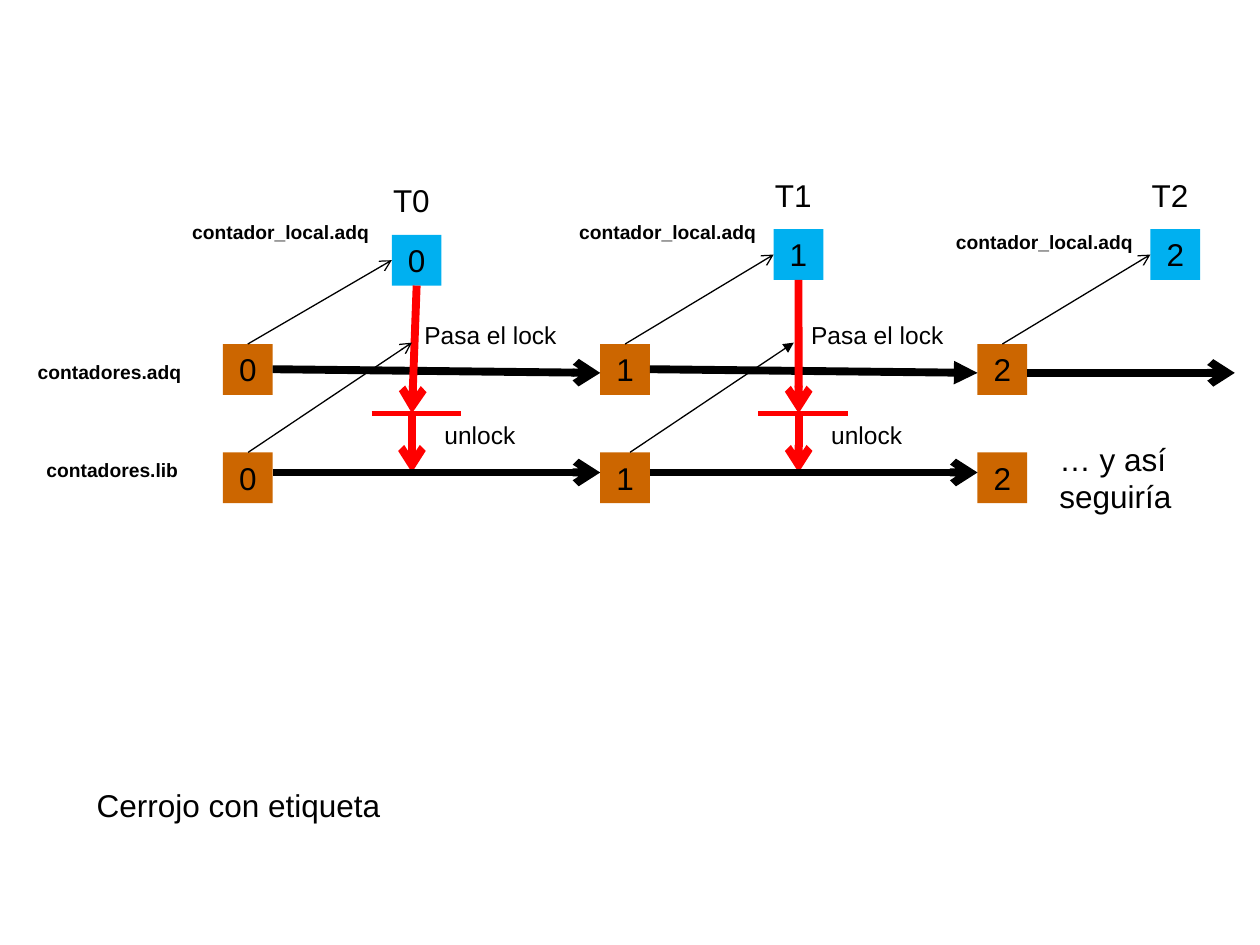
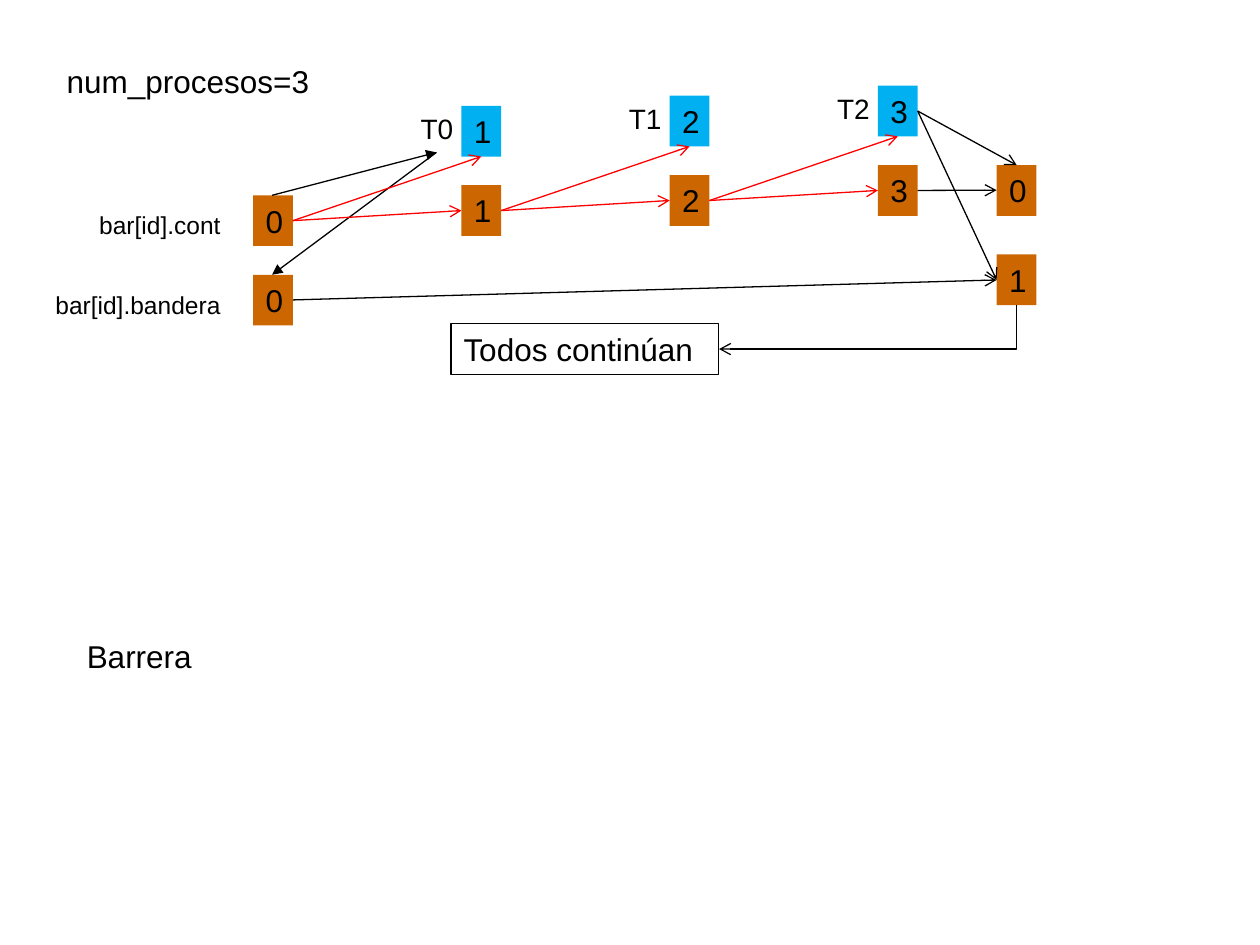
import lxml.etree
import pptx
import pptx.dml.color
import pptx.enum.shapes
import pptx.enum.text
import pptx.oxml.ns
import pptx.util

Pt = pptx.util.Pt
qn = pptx.oxml.ns.qn
CENTER = pptx.enum.text.PP_ALIGN.CENTER
RIGHT = pptx.enum.text.PP_ALIGN.RIGHT
LEFT = pptx.enum.text.PP_ALIGN.LEFT

COLORS = {"ink": "000000", "shared": "CC6600", "local": "00B0F0", "lock": "FF0000"}
FRAME_FORMAT = {
    "word_wrap": True,
    "auto_size": pptx.enum.text.MSO_AUTO_SIZE.SHAPE_TO_FIT_TEXT,
    "vertical_anchor": pptx.enum.text.MSO_ANCHOR.TOP,
    "margin_left": Pt(7.2),
    "margin_right": Pt(7.2),
    "margin_top": Pt(3.6),
    "margin_bottom": Pt(3.6),
}
BOX_HEIGHT = 29
THICK, THIN = 4.5, 0.75


def add_text(slide, words, left, top, width, height, size=18, align=LEFT,
             bold=False, fill=None, outline=None):
    """Add a text box, or a rectangle when it has a fill or an outline."""
    place = [Pt(value) for value in (left, top, width, height)]
    if fill or outline:
        shape = slide.shapes.add_shape(pptx.enum.shapes.MSO_SHAPE.RECTANGLE, *place)
        shape.shadow.inherit = False
        for part, color in ((shape.fill, fill), (shape.line.fill, outline)):
            if color:
                part.solid()
                part.fore_color.rgb = pptx.dml.color.RGBColor.from_string(COLORS[color])
            else:
                part.background()
        if outline:
            shape.line.width = Pt(THIN)
    else:
        shape = slide.shapes.add_textbox(*place)
    for name, value in FRAME_FORMAT.items():
        setattr(shape.text_frame, name, value)
    paragraph = shape.text_frame.paragraphs[0]
    paragraph.alignment = align
    run = paragraph.add_run()
    run.text = words
    for name, value in {"name": "Arial", "size": Pt(size), "bold": bold}.items():
        setattr(run.font, name, value)
    run.font.color.rgb = pptx.dml.color.RGBColor.from_string(COLORS["ink"])


def add_line(slide, start, end, color="ink", width=THIN, head="arrow"):
    """Add a straight line from start to end, with an arrowhead unless head is None."""
    connector = slide.shapes.add_connector(
        pptx.enum.shapes.MSO_CONNECTOR.STRAIGHT, *[Pt(value) for value in (*start, *end)])
    connector.line.color.rgb = pptx.dml.color.RGBColor.from_string(COLORS[color])
    connector.line.width = Pt(width)
    if head:
        lxml.etree.SubElement(connector.get_or_add_ln(), qn("a:tailEnd"), type=head)
    lxml.etree.SubElement(connector.element.spPr, qn("a:effectLst"))
    return connector


presentation = pptx.Presentation()
presentation.slide_width, presentation.slide_height = Pt(720), Pt(540)
blank = presentation.slide_layouts[6]

# Slide 1: ticket lock
slide = presentation.slides.add_slide(blank)
BOX_WIDTH = 28.4
PITCH = 215.6
ACQUIRE_TOP, RELEASE_TOP = 196.6, 258.5
LOCK_Y, RELEASE_Y = 236.2, 270

add_text(slide, "contadores.adq", 14.4, 202.3, 102.2, 20.9, 11, bold=True)
add_text(slide, "contadores.lib", 19.4, 258.5, 102.2, 20.9, 11, bold=True)

# Shared counters and each thread's local ticket
threads = [  # ticket left, ticket top, caption left, caption top
    (223.9, 134.2, 87.8, 122.4),
    (442.1, 131, 308.9, 122.4),
    (657.4, 131, 524.2, 128.2),
]
for number, (ticket_left, ticket_top, caption_left, caption_top) in enumerate(threads):
    counter_left = 127.4 + PITCH * number
    for top in (ACQUIRE_TOP, RELEASE_TOP):
        add_text(slide, str(number), counter_left, top, BOX_WIDTH, BOX_HEIGHT,
                 align=CENTER, fill="shared")
    add_text(slide, str(number), ticket_left, ticket_top, BOX_WIDTH, BOX_HEIGHT,
             align=CENTER, fill="local")
    add_text(slide, f"T{number}", ticket_left - 11.5, ticket_top - 34.2, 45.4, BOX_HEIGHT,
             align=CENTER)
    add_text(slide, "contador_local.adq", caption_left, caption_top, 130.3, 20.9, 11,
             RIGHT, bold=True)
    add_line(slide, (counter_left + BOX_WIDTH / 2, ACQUIRE_TOP),
             (ticket_left, ticket_top + BOX_HEIGHT / 2))

# Passing the lock from one thread to the next
handovers = [  # lock x, read start x, head of the read arrow and of the acquire arrow
    (235.4, 141.8, "arrow", "arrow"),
    (456.4, 360, "triangle", "triangle"),
]
for number, (lock_x, read_x, read_head, acquire_head) in enumerate(handovers):
    ticket_left, ticket_top = threads[number][:2]
    counter_right = 127.4 + PITCH * number + BOX_WIDTH
    next_left = 127.4 + PITCH * (number + 1)
    add_line(slide, (counter_right, 211), (next_left, 213.1), width=THICK, head=acquire_head)
    add_line(slide, (ticket_left + BOX_WIDTH / 2, ticket_top + BOX_HEIGHT),
             (lock_x, LOCK_Y), "lock", THICK)
    add_line(slide, (read_x, RELEASE_TOP), (read_x + 93.6, 195.8), head=read_head)
    add_line(slide, (lock_x - 23, LOCK_Y), (lock_x + 28.1, LOCK_Y), "lock", 3, None)
    add_line(slide, (lock_x, LOCK_Y), (lock_x, RELEASE_Y), "lock", THICK)
    add_line(slide, (counter_right, RELEASE_Y), (next_left, RELEASE_Y), width=THICK)
    add_text(slide, "Pasa el lock", lock_x, 179.3, 113, 24.5, 14)
    add_text(slide, "unlock", lock_x + 11.5, LOCK_Y, 113, 24.5, 14)

add_line(slide, (587, 213.1), (705.6, 213.1), width=THICK)
add_text(slide, "… y así seguiría", 598.3, 247.7, 96.5, 50.4)
add_text(slide, "Cerrojo con etiqueta", 48.2, 445.7, 272.2, BOX_HEIGHT)

# Slide 2: barrier
slide = presentation.slides.add_slide(blank)
BOX_WIDTH = 22.7
MIDDLE = BOX_HEIGHT / 2
FLAG_Y = 160

add_text(slide, "num_procesos=3", 31, 31.7, 175.7, BOX_HEIGHT)
add_text(slide, "bar[id].cont", 48.2, 116.6, 85, 24.5, 14, RIGHT)
add_text(slide, "bar[id].bandera", 14.4, 162, 118.8, 24.5, 14, RIGHT)

# Counter and flag, before and after the barrier
for words, left, top in (("0", 144.7, 111.6), ("0", 144.7, 157),
                         ("0", 569.5, 94.4), ("1", 569.5, 145.4)):
    add_text(slide, words, left, top, BOX_WIDTH, BOX_HEIGHT, align=CENTER, fill="shared")

# T0 resets the counter and the flag
add_line(slide, (249.4, 87.1), (155.5, 157), head="triangle")
add_line(slide, (155.5, 111.6), (249.4, 87.1), head="triangle")

# Each thread increments the counter
left, top = 144.7, 111.6
for number in range(3):
    source = (left + BOX_WIDTH, top + MIDDLE)
    left, top = left + 119, top - 5.75
    local_top = top - 45.4
    add_text(slide, f"T{number}", left - 33.9, local_top, 39.6, 26.6, 16, CENTER)
    for box_top, fill in ((local_top, "local"), (top, "shared")):
        add_text(slide, str(number + 1), left, box_top, BOX_WIDTH, BOX_HEIGHT,
                 align=CENTER, fill=fill)
    add_line(slide, source, (left, top + MIDDLE), "lock")
    add_line(slide, source, (left + BOX_WIDTH / 2, local_top + BOX_HEIGHT), "lock")

# The last thread clears the counter and raises the flag
last_right = left + BOX_WIDTH
add_line(slide, (last_right, local_top + MIDDLE), (581, 94.4))
add_line(slide, (last_right, top + MIDDLE), (569.5, 108.7))
add_line(slide, (last_right, local_top + MIDDLE), (569.5, FLAG_Y))
add_line(slide, (167.4, 171.4), (569.5, FLAG_Y))

# Everyone goes on: one right-angled arrow, turned a quarter
add_text(slide, "Todos continúan", 257.8, 185, 153, BOX_HEIGHT, outline="ink")
elbow = add_line(slide, (483.2, 101.8), (508.6, 271.8))
elbow.element.spPr.find(qn("a:prstGeom")).set("prst", "bentConnector2")
elbow.element.spPr.find(qn("a:xfrm")).set("rot", "5400000")

add_text(slide, "Barrera", 42.5, 360.7, 102.2, BOX_HEIGHT)

presentation.save("out.pptx")
